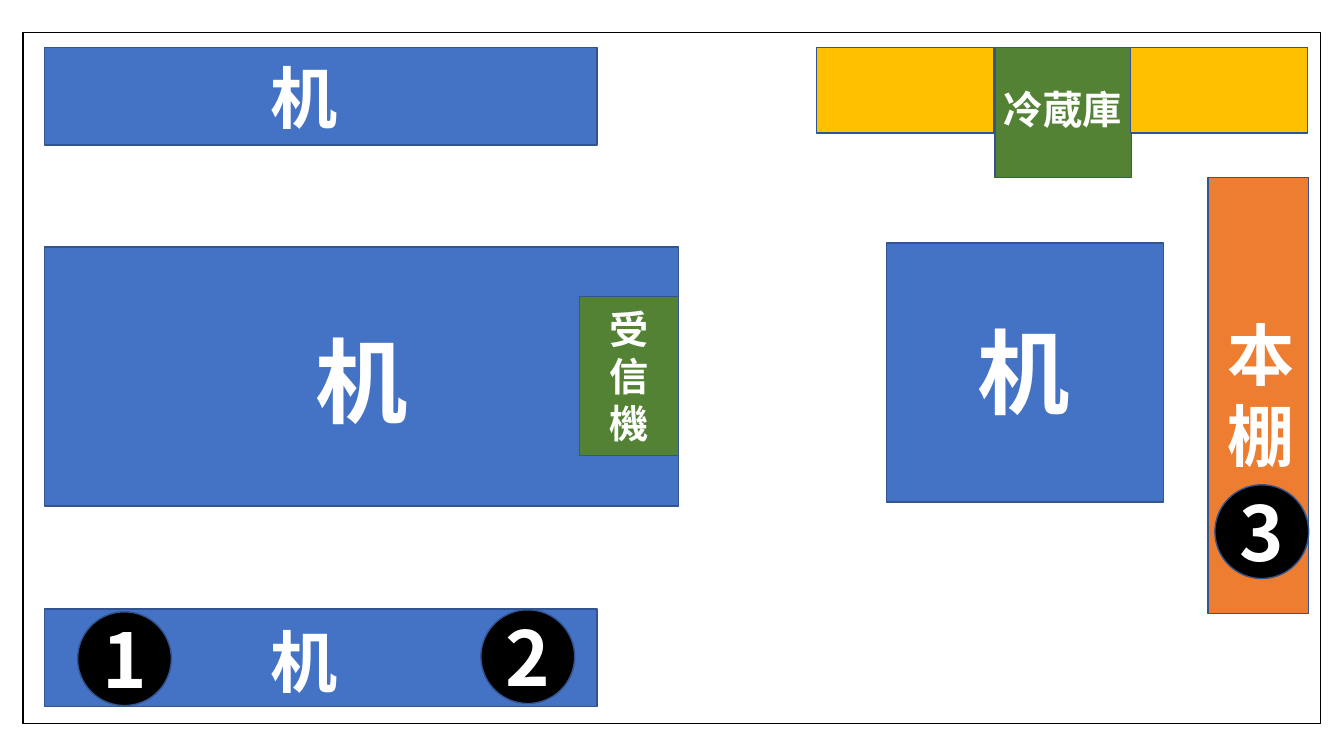
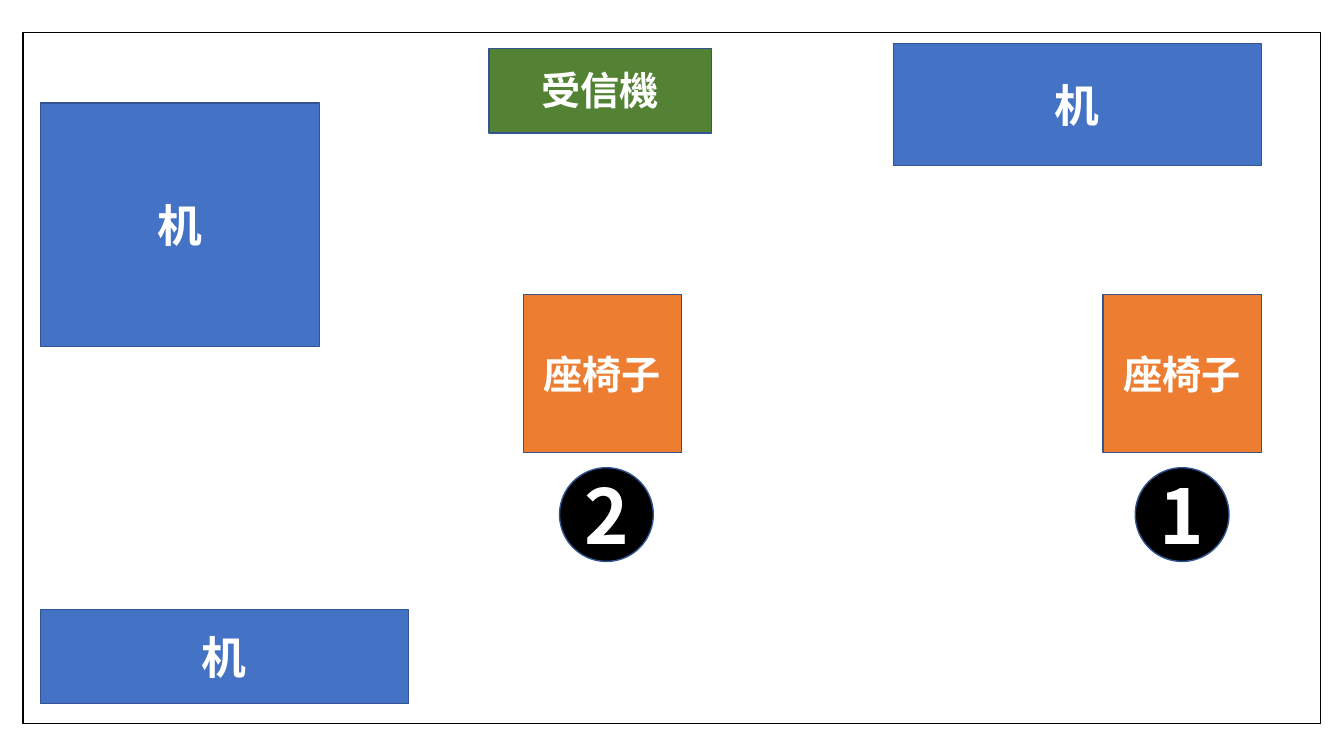
from dataclasses import dataclass
from typing import Optional

from lxml.etree import SubElement
from pptx import Presentation
from pptx.dml.color import RGBColor
from pptx.enum.shapes import MSO_SHAPE
from pptx.enum.text import MSO_ANCHOR, MSO_AUTO_SIZE, PP_ALIGN
from pptx.oxml.ns import qn
from pptx.util import Emu, Pt

# Shared style
EMU_PER_PX = 9144  # 100 px to the inch
SLIDE_WIDTH, SLIDE_HEIGHT = 1333, 750
FONT = "Noto Sans CJK JP"
BLACK = RGBColor(0x00, 0x00, 0x00)
WHITE = RGBColor(0xFF, 0xFF, 0xFF)
OUTLINE = RGBColor(0x32, 0x54, 0x91)
BLUE = RGBColor(0x44, 0x72, 0xC4)
GREEN = RGBColor(0x54, 0x82, 0x35)
ORANGE = RGBColor(0xED, 0x7D, 0x31)
YELLOW = RGBColor(0xFF, 0xC0, 0x00)
MARKER_SIZE = 93
CHAIR_SIZE = 157


@dataclass(frozen=True)
class Block:
    """A filled outline; without a fill, only its outline shows."""
    left: int
    top: int
    width: int
    height: int
    fill: Optional[RGBColor]
    text: str = ""
    size: int = 28
    geometry: MSO_SHAPE = MSO_SHAPE.RECTANGLE
    outline: RGBColor = OUTLINE


@dataclass(frozen=True)
class Label:
    """Unwrapped text placed freely over a block."""
    left: int
    top: int
    width: int
    height: int
    text: str
    size: int


def marker(left: int, top: int, number: int) -> Block:
    return Block(left, top, MARKER_SIZE, MARKER_SIZE, BLACK, str(number), 54, MSO_SHAPE.OVAL)


def chair(left: int) -> Block:
    return Block(left, 292, CHAIR_SIZE, CHAIR_SIZE, ORANGE, "座椅子")


ROOM = Block(23, 32, 1287, 686, None, outline=BLACK)

OFFICE = [
    ROOM,
    # Desks
    Block(44, 47, 548, 97, BLUE),
    Label(258, 51, 88, 91, "机", 48),
    Block(44, 604, 548, 97, BLUE),
    Label(258, 610, 88, 91, "机", 48),
    Block(879, 241, 275, 257, BLUE),
    Label(959, 308, 113, 121, "机", 66),
    Block(44, 245, 629, 257, BLUE),
    Label(302, 317, 113, 121, "机", 66),
    # Fridge between two counters
    Block(987, 47, 135, 129, GREEN),
    Block(1121, 47, 176, 85, YELLOW),
    Block(810, 47, 176, 85, YELLOW),
    Label(985, 80, 138, 57, "冷蔵庫", 28),
    # Receiver and bookshelf
    Block(575, 294, 98, 158, GREEN),
    Label(594, 298, 59, 151, "受\n信\n機", 28),
    Block(1198, 176, 100, 433, ORANGE),
    Label(1207, 306, 88, 172, "本\n棚", 48),
    # Numbered places
    marker(77, 607, 1),
    marker(477, 605, 2),
    marker(1205, 481, 3),
]

LOUNGE = [
    ROOM,
    # Receiver
    Block(485, 48, 221, 84, GREEN),
    Label(526, 61, 138, 57, "受信機", 28),
    # Chairs and their numbers
    chair(1094),
    chair(519),
    marker(1126, 464, 1),
    marker(555, 464, 2),
    # Desks
    Block(40, 605, 365, 93, BLUE, "机", 32),
    Block(40, 102, 277, 242, BLUE, "机", 32),
    Block(886, 43, 365, 121, BLUE, "机", 32),
]


def frame(item: Block | Label) -> list[Emu]:
    return [Emu(px * EMU_PER_PX) for px in (item.left, item.top, item.width, item.height)]


def write(text_frame, text: str, size: int) -> None:
    """One centred paragraph per line of text."""
    for index, line in enumerate(text.split("\n")):
        paragraph = text_frame.add_paragraph() if index else text_frame.paragraphs[0]
        paragraph.alignment = PP_ALIGN.CENTER
        run = paragraph.add_run()
        run.text = line
        run.font.name = FONT
        run.font.size = Pt(size)
        run.font.bold = True
        run.font.color.rgb = WHITE
        SubElement(run.font._element, qn("a:ea"), typeface=FONT)


def draw_block(slide, block: Block) -> None:
    shape = slide.shapes.add_shape(block.geometry, *frame(block))
    shape.shadow.inherit = False
    if block.fill is None:
        shape.fill.background()
    else:
        shape.fill.solid()
        shape.fill.fore_color.rgb = block.fill
    shape.line.color.rgb = block.outline
    shape.line.width = Pt(1)
    if block.text:
        shape.text_frame.word_wrap = True
        shape.text_frame.vertical_anchor = MSO_ANCHOR.MIDDLE
        write(shape.text_frame, block.text, block.size)


def draw_label(slide, label: Label) -> None:
    text_frame = slide.shapes.add_textbox(*frame(label)).text_frame
    text_frame.word_wrap = False
    text_frame.auto_size = MSO_AUTO_SIZE.SHAPE_TO_FIT_TEXT
    write(text_frame, label.text, label.size)


def main() -> None:
    presentation = Presentation()
    presentation.slide_width = Emu(SLIDE_WIDTH * EMU_PER_PX)
    presentation.slide_height = Emu(SLIDE_HEIGHT * EMU_PER_PX)
    for plan in (OFFICE, LOUNGE):
        slide = presentation.slides.add_slide(presentation.slide_layouts[6])
        for item in plan:
            if isinstance(item, Block):
                draw_block(slide, item)
            else:
                draw_label(slide, item)
    presentation.save("out.pptx")


if __name__ == "__main__":
    main()
